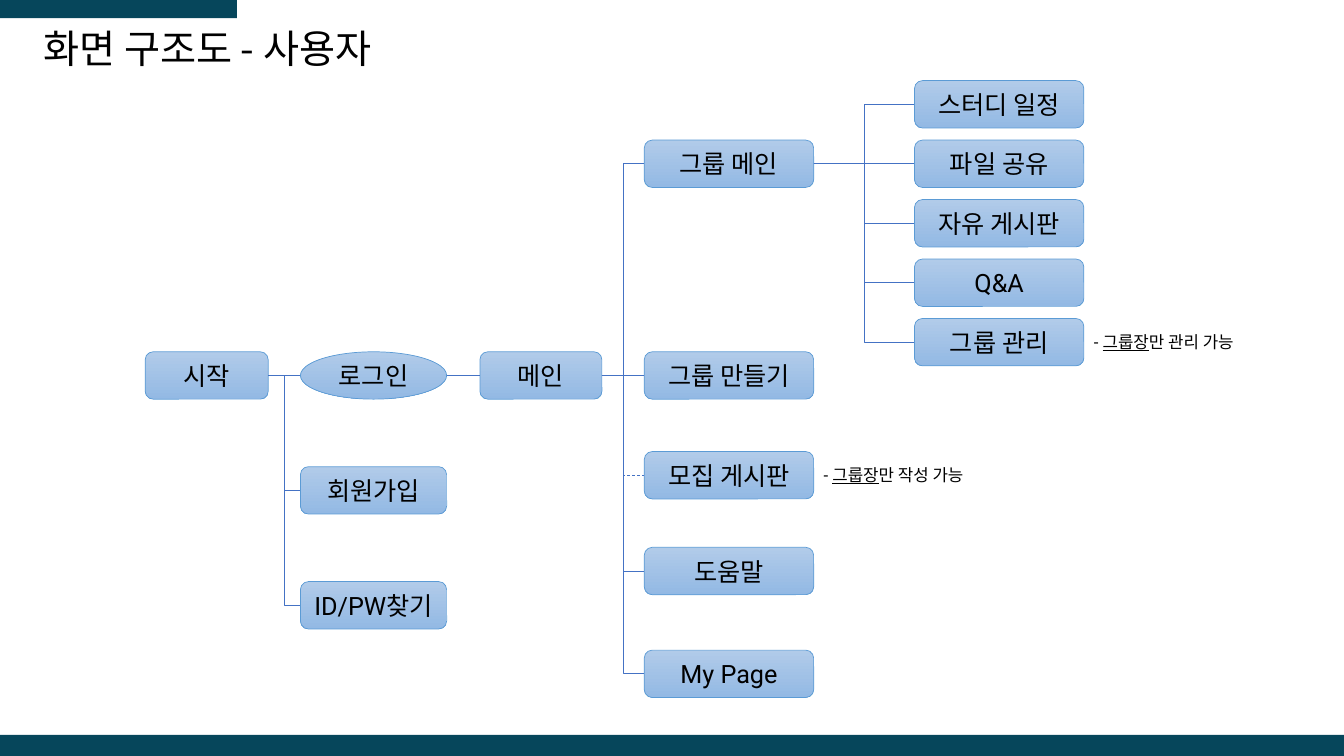
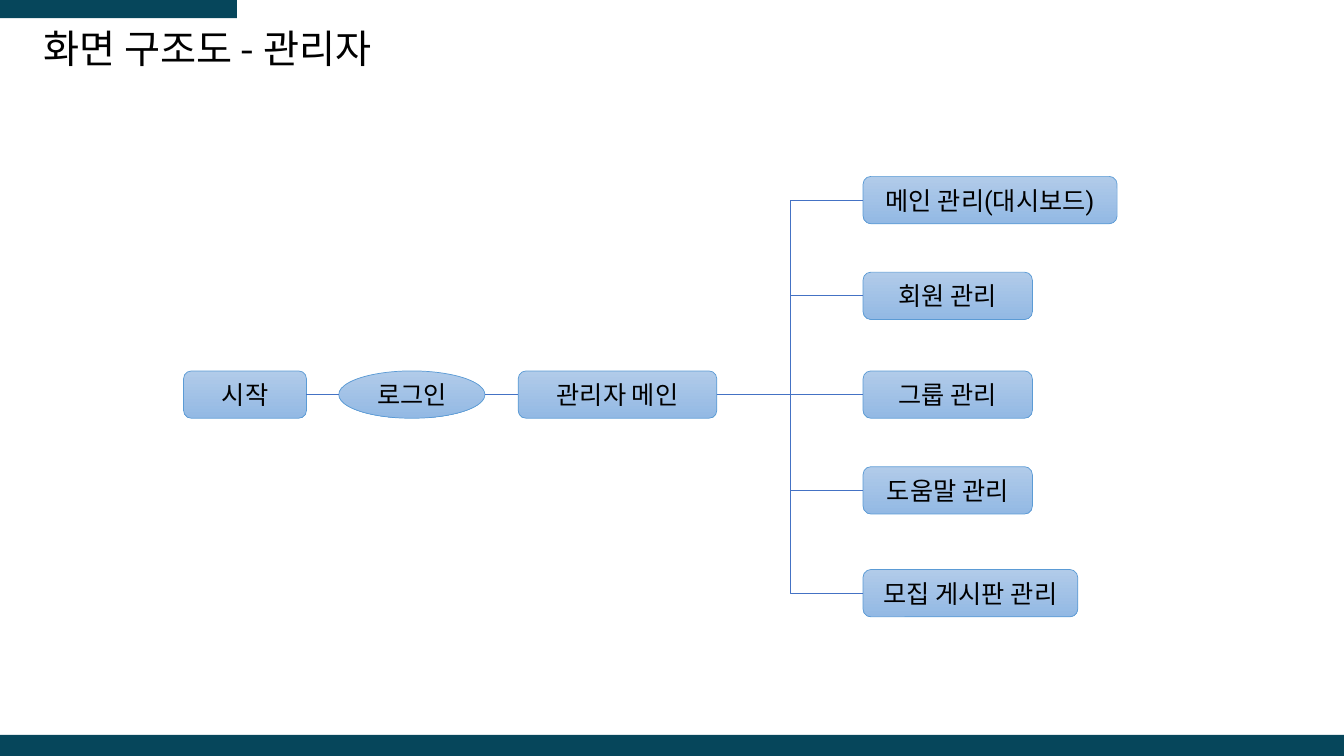
from dataclasses import dataclass

from lxml.etree import SubElement
from pptx import Presentation
from pptx.dml.color import RGBColor
from pptx.enum.dml import MSO_LINE
from pptx.enum.shapes import MSO_CONNECTOR, MSO_SHAPE
from pptx.enum.text import MSO_ANCHOR, MSO_AUTO_SIZE, PP_ALIGN
from pptx.oxml.ns import qn
from pptx.util import Inches, Pt


@dataclass(frozen=True)
class Theme:
    band: str = "06465B"
    box_top: str = "B1CBE9"
    box_bottom: str = "93B9E4"
    box_line: str = "5B9BD5"
    link: str = "4472C4"
    text: str = "000000"
    latin: str = "Roboto"
    hangul: str = "Noto Sans CJK KR"
    title_size: int = 28
    box_size: int = 18
    note_size: int = 12
    line_width: float = 0.5


THEME = Theme()
SLIDE_W, SLIDE_H = 13.33, 7.5
BOX_H = 0.47
BANDS = [(0, 0, 2.35, 0.18), (0, 7.29, SLIDE_W, 0.21)]

# A column is (parent, left, width, boxes); a box is (text, top[, own width])
SCREEN_MAPS = [
    {
        "title": "화면 구조도 - 사용자",
        "columns": [
            (None, 1.44, 1.22, [("시작", 3.49)]),
            ("시작", 2.98, 1.45,
             [("로그인", 3.49), ("회원가입", 4.63), ("ID/PW찾기", 5.77)]),
            ("로그인", 4.76, 1.21, [("메인", 3.49)]),
            ("메인", 6.39, 1.68,
             [("그룹 메인", 1.39), ("그룹 만들기", 3.49), ("모집 게시판", 4.48),
              ("도움말", 5.43), ("My Page", 6.45)]),
            ("그룹 메인", 9.07, 1.68,
             [(text, 0.8 + 0.59 * i) for i, text in enumerate(
                 ["스터디 일정", "파일 공유", "자유 게시판", "Q&A", "그룹 관리"])]),
        ],
        # Notes: left, top, width, runs as (text, underlined)
        "notes": [
            (10.75, 3.24, 1.61,
             [("- ", False), ("그룹장", True), ("만 관리 가능", False)]),
            (8.07, 4.56, 1.66,
             [("- ", False), ("그룹장", True), ("만 작성 가능", False)]),
        ],
    },
    {
        "title": "화면 구조도 - 관리자",
        "columns": [
            (None, 1.82, 1.22, [("시작", 3.68)]),
            ("시작", 3.36, 1.45, [("로그인", 3.68)]),
            ("로그인", 5.14, 1.97, [("관리자 메인", 3.68)]),
            ("관리자 메인", 8.56, 1.68,
             [("메인 관리(대시보드)", 1.75, 2.52), ("회원 관리", 2.7),
              ("그룹 관리", 3.68), ("도움말 관리", 4.63),
              ("모집 게시판 관리", 5.65, 2.13)]),
        ],
        "notes": [],
    },
]
OVALS = {"로그인"}
DASHED = {"모집 게시판"}


def rgb(color):
    return RGBColor.from_string(color)


def add_run(p, text, size, latin=THEME.latin, underline=None):
    r = p.add_run()
    r.text = text
    r.font.size = Pt(size)
    r.font.color.rgb = rgb(THEME.text)
    r.font.name = latin
    r.font.underline = underline
    SubElement(r._r.get_or_add_rPr(), qn("a:ea")).set("typeface", THEME.hangul)


def add_bands(s, layout):
    """Put the bands on the layout, behind its title."""
    for ph in list(layout.placeholders):
        if ph.placeholder_format.idx:
            ph.element.getparent().remove(ph.element)
    for band in BANDS:
        sp = s.shapes.add_shape(MSO_SHAPE.RECTANGLE, *map(Inches, band))
        sp.shadow.inherit = False
        sp.fill.solid()
        sp.fill.fore_color.rgb = rgb(THEME.band)
        sp.line.fill.background()
        layout.shapes.element.insert(2, sp.element)


def set_title(s, text):
    sp = s.shapes.title
    sp.left, sp.top, sp.width, sp.height = map(Inches, (0.33, 0.29, 5.19, 0.43))
    tf = sp.text_frame
    tf.word_wrap = True
    tf.auto_size = MSO_AUTO_SIZE.NONE
    tf.vertical_anchor = MSO_ANCHOR.MIDDLE
    p = tf.paragraphs[0]
    p.alignment = PP_ALIGN.LEFT
    p.line_spacing = 0.9
    add_run(p, text, THEME.title_size, THEME.hangul)


def add_box(s, text, left, top, width):
    kind = MSO_SHAPE.OVAL if text in OVALS else MSO_SHAPE.ROUNDED_RECTANGLE
    sp = s.shapes.add_shape(kind, *map(Inches, (left, top, width, BOX_H)))
    sp.shadow.inherit = False
    sp.fill.gradient()
    sp.fill.gradient_angle = 270
    for stop, color in zip(sp.fill.gradient_stops,
                           (THEME.box_top, THEME.box_bottom)):
        stop.color.rgb = rgb(color)
    sp.line.color.rgb = rgb(THEME.box_line)
    sp.line.width = Pt(THEME.line_width)
    tf = sp.text_frame
    tf.word_wrap = True
    tf.vertical_anchor = MSO_ANCHOR.MIDDLE
    p = tf.paragraphs[0]
    p.alignment = PP_ALIGN.CENTER
    add_run(p, text, THEME.box_size)
    return sp


def add_link(s, parent, child, dashed):
    """Join the parent's right side to the child's left side."""
    y1, y2 = (sp.top + sp.height // 2 for sp in (parent, child))
    kind = MSO_CONNECTOR.STRAIGHT if y1 == y2 else MSO_CONNECTOR.ELBOW
    link = s.shapes.add_connector(
        kind, parent.left + parent.width, y1, child.left, y2)
    if parent.auto_shape_type == MSO_SHAPE.ROUNDED_RECTANGLE:
        link.begin_connect(parent, 3)
    if child.auto_shape_type == MSO_SHAPE.ROUNDED_RECTANGLE:
        link.end_connect(child, 1)
    link.line.color.rgb = rgb(THEME.link)
    link.line.width = Pt(THEME.line_width)
    if dashed:
        link.line.dash_style = MSO_LINE.DASH
    SubElement(link.element.spPr, qn("a:effectLst"))


def add_note(s, left, top, width, runs):
    tf = s.shapes.add_textbox(*map(Inches, (left, top, width, 0.3))).text_frame
    tf.word_wrap = True
    for text, underlined in runs:
        add_run(tf.paragraphs[0], text, THEME.note_size,
                underline=underlined or None)


def add_screen_map(s, screen_map):
    set_title(s, screen_map["title"])
    boxes = {}
    for parent, left, width, items in screen_map["columns"]:
        for text, top, *own_width in items:
            boxes[text] = add_box(s, text, left, top, *(own_width or [width]))
            if parent:
                add_link(s, boxes[parent], boxes[text], text in DASHED)
    for note in screen_map["notes"]:
        add_note(s, *note)


def main():
    prs = Presentation()
    prs.slide_width, prs.slide_height = Inches(SLIDE_W), Inches(SLIDE_H)
    layout = prs.slide_layouts.get_by_name("Title Only")
    slides = [prs.slides.add_slide(layout) for _ in SCREEN_MAPS]
    add_bands(slides[0], layout)
    for s, screen_map in zip(slides, SCREEN_MAPS):
        add_screen_map(s, screen_map)
    prs.save("out.pptx")


if __name__ == "__main__":
    main()
